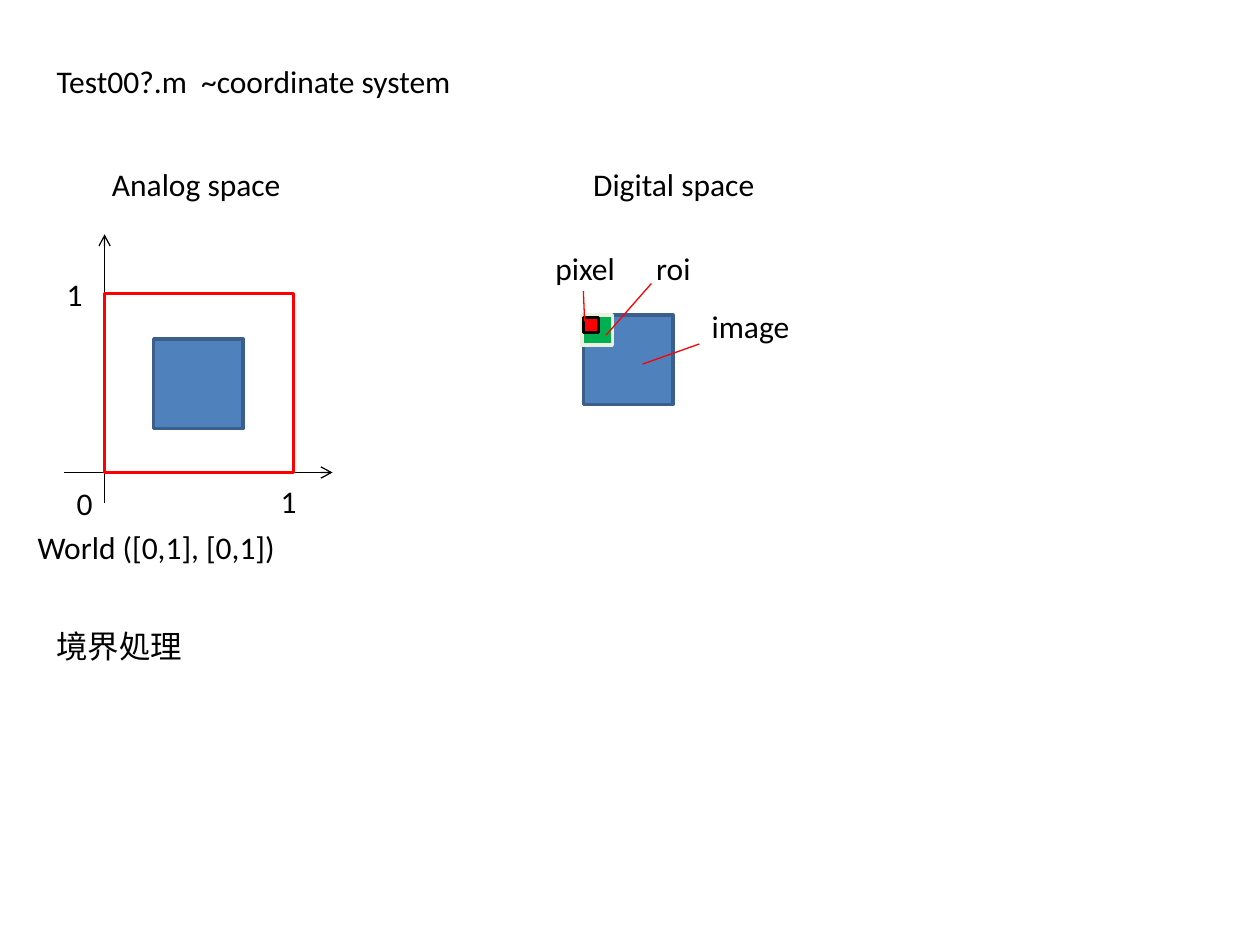
from pptx import Presentation
from pptx.dml.color import RGBColor
from pptx.enum.shapes import MSO_CONNECTOR as Connector, MSO_SHAPE as Shape
from pptx.enum.text import MSO_ANCHOR as Anchor, MSO_AUTO_SIZE as AutoSize, PP_ALIGN as Align
from pptx.oxml.ns import qn
from pptx.util import Inches, Pt
from lxml.etree import SubElement


def color(value):
    return RGBColor.from_string(value)


def write_text(shape, text, wrap=True):
    frame = shape.text_frame
    frame.text = text
    frame_format = {
        "word_wrap": wrap,
        "auto_size": AutoSize.SHAPE_TO_FIT_TEXT,
        "vertical_anchor": Anchor.TOP,
    }
    for name, value in frame_format.items():
        setattr(frame, name, value)
    paragraph = frame.paragraphs[0]
    paragraph.alignment = Align.LEFT
    font = paragraph.runs[0].font
    for name, value in {"name": "Calibri", "size": Pt(18)}.items():
        setattr(font, name, value)
    font.color.rgb = color("000000")


presentation = Presentation()
presentation.slide_width = Inches(10)
presentation.slide_height = Inches(7.5)
slide = presentation.slides.add_slide(presentation.slide_layouts[5])

title = slide.shapes.title
title_place = {"left": 0.35, "top": 0.44, "width": 3.54, "height": 0.4}
for name, value in title_place.items():
    setattr(title, name, Inches(value))
write_text(title, "Test00?.m  ~coordinate system")

origin_x, origin_y = 0.83, 3.75
axes = [
    (origin_x, 3.99, origin_x, 1.86),
    (0.51, origin_y, 2.64, origin_y),
]
leaders = [
    (4.64, 2.55, 4.63, 2.31),
    (4.81, 2.66, 5.17, 2.25),
    (5.1, 2.89, 5.55, 2.73),
]
world_width, world_height = 1.5, 1.42
image_size, roi_size, pixel_size = 0.71, 0.24, 0.12
rectangles = [
    (origin_x, origin_y - world_height, world_width, world_height, None, "FF0000"),
    (1.22, 2.69, image_size, image_size, "4F81BD", "3A5F8C"),
    (4.63, 2.5, image_size, image_size, "4F81BD", "3A5F8C"),
    (4.62, 2.5, roi_size, roi_size, "00B050", "EBF1DE"),
    (4.63, 2.52, pixel_size, pixel_size, "FF0000", "000000"),
]
labels = [
    ("World ([0,1], [0,1])", 0.2, 4.14, 3.7, 0.4, True),
    ("0", 0.51, 3.79, 0.33, 0.4, False),
    ("1", 2.13, 3.78, 0.33, 0.4, False),
    ("1", 0.43, 2.13, 0.33, 0.4, False),
    ("Analog space", 0.79, 1.26, 1.69, 0.4, True),
    ("Digital space", 4.61, 1.26, 1.8, 0.4, True),
    ("境界処理", 0.35, 4.93, 2.44, 0.71, True),
    ("pixel", 4.31, 1.93, 0.86, 0.4, True),
    ("roi", 5.11, 1.93, 0.86, 0.4, True),
    ("image", 5.55, 2.39, 0.86, 0.4, True),
]


def add_lines(lines, line_color, arrow=False):
    for ends in lines:
        line = slide.shapes.add_connector(Connector.STRAIGHT, *map(Inches, ends))
        line.line.color.rgb = color(line_color)
        line.line.width = Pt(0.75)
        if arrow:
            SubElement(line.line._get_or_add_ln(), qn("a:tailEnd"), type="arrow")
        SubElement(line._element.spPr, qn("a:effectLst"))


add_lines(axes, "000000", arrow=True)

for *place, fill, outline in rectangles:
    rectangle = slide.shapes.add_shape(Shape.RECTANGLE, *map(Inches, place))
    rectangle.shadow.inherit = False
    if fill:
        rectangle.fill.solid()
        rectangle.fill.fore_color.rgb = color(fill)
    else:
        rectangle.fill.background()
    rectangle.line.color.rgb = color(outline)
    rectangle.line.width = Pt(2)

for text, *place, wrap in labels:
    label = slide.shapes.add_textbox(*map(Inches, place))
    write_text(label, text, wrap)

add_lines(leaders, "FF0000")

presentation.save("out.pptx")
